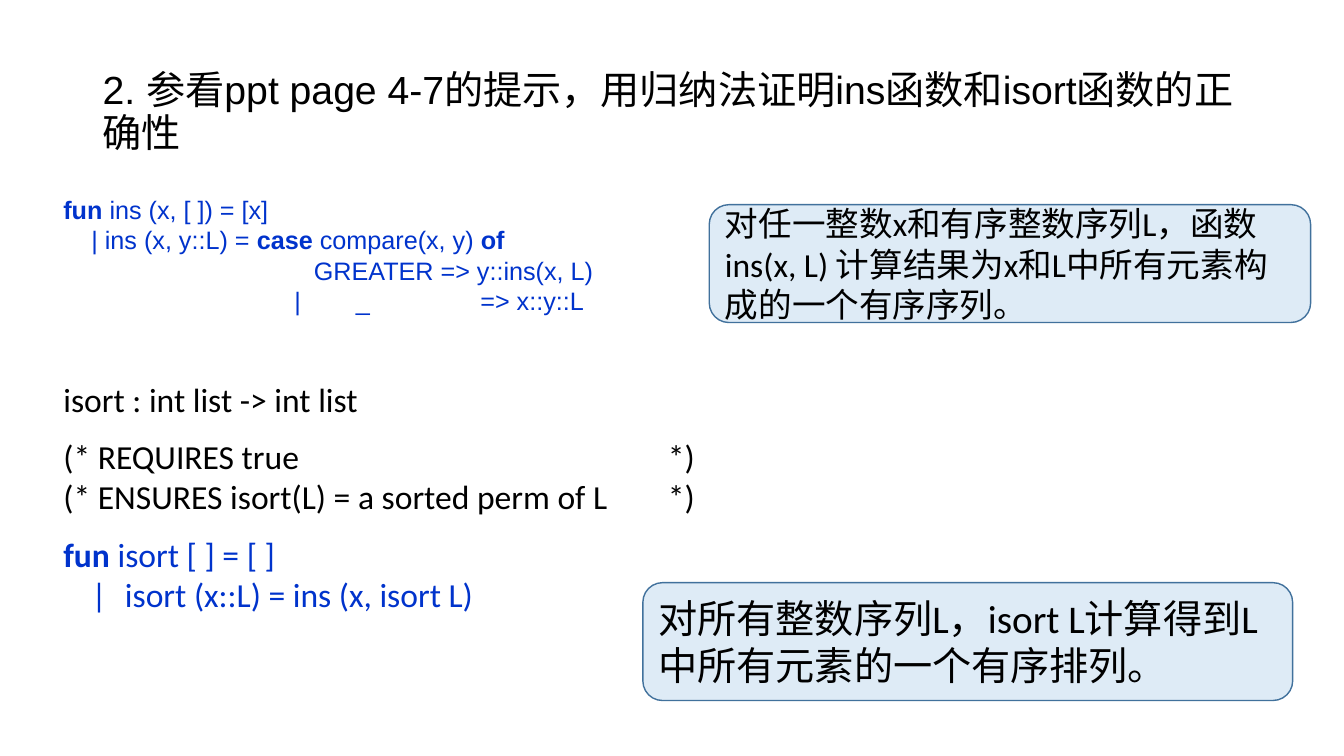
from dataclasses import dataclass

from lxml import etree
from pptx import Presentation
from pptx.dml.color import RGBColor
from pptx.enum.shapes import MSO_SHAPE
from pptx.enum.text import MSO_ANCHOR, MSO_AUTO_SIZE, PP_ALIGN
from pptx.oxml.ns import qn
from pptx.util import Pt

ROUNDED = MSO_SHAPE.ROUNDED_RECTANGLE
MIDDLE = MSO_ANCHOR.MIDDLE
NO_FIT = MSO_AUTO_SIZE.NONE
LEFT = PP_ALIGN.LEFT


@dataclass(frozen=True)
class Theme:
    ink: RGBColor = RGBColor(0x00, 0x00, 0x00)
    code: RGBColor = RGBColor(0x00, 0x33, 0xCC)
    note_fill: RGBColor = RGBColor(0xDE, 0xEB, 0xF6)
    note_line: RGBColor = RGBColor(0x41, 0x71, 0x9C)
    heading_font: str = "Arial"
    body_font: str = "Calibri"
    large: int = 28
    medium: int = 24
    small: int = 18


THEME = Theme()

INS_LINES = [
    ([("fun ", True), ("ins (x, [ ]) = [x]", False)], THEME.code, [], 0),
    ([("\t| ins (x, y::L) = ", False), ("case ", True),
      ("compare(x, y) ", False), ("of", True)], THEME.code, [20], 0),
    ([("\tGREATER => y::ins(x, L)", False)], THEME.code, [179], 0),
    ([("\t|\t_\t=> x::y::L", False)], THEME.code, [165, 209, 298], 0),
]
ISORT_LINES = [
    ([("isort : int list -> int list", False)], THEME.ink, [], 0),
    ([("(* REQUIRES true\t*)", False)], THEME.ink, [432], 12),
    ([("(* ENSURES isort(L) = a sorted perm of L\t*)", False)], THEME.ink, [432], 0),
    ([("fun ", True), ("isort [ ] = [ ]", False)], THEME.code, [], 12),
    ([("\t|\tisort (x::L) = ins (x, isort L)", False)], THEME.code, [20, 44], 0),
]


def style_run(r, font, size, color, bold=False):
    r.font.name = font
    r.font.size = Pt(size)
    r.font.color.rgb = color
    r.font.bold = bold


def set_tabs(p, stops):
    tabs = etree.SubElement(p._p.get_or_add_pPr(), qn("a:tabLst"))
    for stop in stops:
        etree.SubElement(tabs, qn("a:tab"), pos=str(Pt(stop)), algn="l")


def add_title(s, box, text):
    sp = s.shapes.title
    sp.left, sp.top, sp.width, sp.height = map(Pt, box)
    tf = sp.text_frame
    tf.text = text
    tf.word_wrap = True
    tf.auto_size = NO_FIT
    tf.vertical_anchor = MIDDLE
    p = tf.paragraphs[0]
    p.alignment = LEFT
    p.line_spacing = 0.9
    style_run(p.runs[0], THEME.heading_font, THEME.large, THEME.ink)


def add_code(s, box, lines, font, size):
    tf = s.shapes.add_textbox(*map(Pt, box)).text_frame
    tf.word_wrap = True
    for i, (parts, color, stops, gap) in enumerate(lines):
        p = tf.add_paragraph() if i else tf.paragraphs[0]
        p.space_before = Pt(gap)
        if stops:
            set_tabs(p, stops)
        for text, bold in parts:
            r = p.add_run()
            r.text = text
            style_run(r, font, size, color, bold)


def add_note(s, box, text, size):
    sp = s.shapes.add_shape(ROUNDED, *map(Pt, box))
    sp.shadow.inherit = False
    sp.fill.solid()
    sp.fill.fore_color.rgb = THEME.note_fill
    sp.line.color.rgb = THEME.note_line
    sp.line.width = Pt(1)
    tf = sp.text_frame
    tf.text = text
    tf.word_wrap = True
    tf.vertical_anchor = MIDDLE
    p = tf.paragraphs[0]
    p.alignment = LEFT
    style_run(p.runs[0], THEME.body_font, size, THEME.ink)


def main():
    prs = Presentation()
    prs.slide_width, prs.slide_height = Pt(960.5), Pt(540)
    s = prs.slides.add_slide(prs.slide_layouts[5])
    add_title(s, (66.2, 28.8, 828, 104.4),
              "2. 参看ppt page 4-7的提示，用归纳法证明ins函数和isort函数的正确性")
    add_code(s, (38.2, 267.1, 705, 175.7), ISORT_LINES, THEME.body_font, THEME.medium)
    add_note(s, (459.4, 416.2, 464.4, 84.2),
             "对所有整数序列L，isort L计算得到L中所有元素的一个有序排列。", THEME.large)
    add_code(s, (38.2, 135.4, 411.8, 93.6), INS_LINES, THEME.heading_font, THEME.small)
    add_note(s, (506.9, 146.2, 429.8, 84.2),
             "对任一整数x和有序整数序列L，函数ins(x, L) 计算结果为x和L中所有元素构成的一个有序序列。",
             THEME.medium)
    prs.save("out.pptx")


if __name__ == "__main__":
    main()
